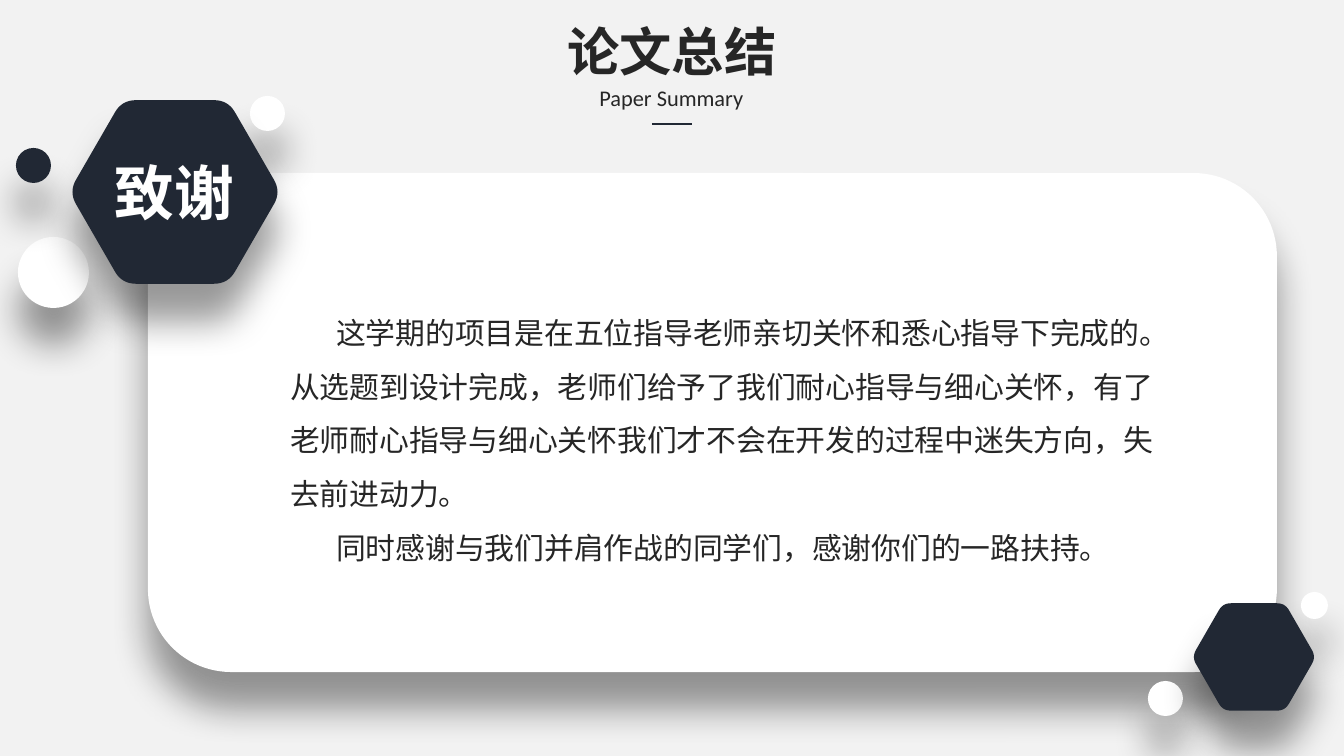
from math import cos, pi, sin

from lxml import etree
from pptx import Presentation
from pptx.dml.color import RGBColor
from pptx.enum.shapes import MSO_CONNECTOR, MSO_SHAPE
from pptx.enum.text import MSO_AUTO_SIZE, PP_ALIGN
from pptx.oxml.ns import qn
from pptx.util import Pt

PX = 6804  # EMU per px
ROUND = MSO_SHAPE.ROUNDED_RECTANGLE
OVAL = MSO_SHAPE.OVAL
LINE = MSO_CONNECTOR.STRAIGHT
GROW = MSO_AUTO_SIZE.SHAPE_TO_FIT_TEXT
LEFT, CENTER = PP_ALIGN.LEFT, PP_ALIGN.CENTER

NAVY, WHITE, GREY, INK = "212834", "FFFFFF", "F2F2F2", "262626"
HAN, LATIN = "Noto Sans CJK SC", "Calibri"

DOTS = [  # left, top, size, fill
    (18, 237, 71, WHITE),
    (16, 148, 35, NAVY),
    (250, 96, 35, WHITE),
    (1148, 681, 35, WHITE),
    (1301, 592, 27, WHITE),
]
THANKS = [
    "这学期的项目是在五位指导老师亲切关怀和悉心指导下完成的。"
    "从选题到设计完成，老师们给予了我们耐心指导与细心关怀，有了"
    "老师耐心指导与细心关怀我们才不会在开发的过程中迷失方向，失去前进动力。",
    "同时感谢与我们并肩作战的同学们，感谢你们的一路扶持。",
]


def px(*nums):
    return [round(n * PX) for n in nums]


def color(code):
    return RGBColor.from_string(code)


def finish(shape, fill):
    """Give a shape its flat fill and the soft shadow below it."""
    shape.fill.solid()
    shape.fill.fore_color.rgb = color(fill)
    shape.line.fill.background()
    shape.shadow.inherit = False
    effects = shape._element.spPr.find(qn("a:effectLst"))
    drop = etree.SubElement(effects, qn("a:outerShdw"), blurRad=str(Pt(20)),
                            dist=str(Pt(20)), dir="5400000", rotWithShape="0")
    black = etree.SubElement(drop, qn("a:srgbClr"), val="000000")
    etree.SubElement(black, qn("a:alpha"), val="40000")


def add_preset(slide, kind, box, fill):
    finish(slide.shapes.add_shape(kind, *px(*box)), fill)


def add_hexagon(slide, mid_x, mid_y, radius, trim, fill):
    """Draw a regular hexagon whose corners are rounded over the trim length."""
    tips = [(mid_x + radius * cos(i * pi / 3), mid_y + radius * sin(i * pi / 3))
            for i in range(6)]
    part, steps = trim / radius, 8
    points = []
    for i, tip in enumerate(tips):
        last, after = tips[i - 1], tips[(i + 1) % 6]
        for step in range(steps + 1):
            t = step / steps
            back, ahead = part * (1 - t) ** 2, part * t ** 2
            points.append(px(*(c + back * (a - c) + ahead * (b - c)
                               for a, c, b in zip(last, tip, after))))
    path = slide.shapes.build_freeform(*points[0])
    path.add_line_segments(points[1:], close=True)
    finish(path.convert_to_shape(), fill)


def add_text(slide, box, lines, size, ink, font=HAN, bold=False,
             align=CENTER, wrap=False, space=None, indent=0):
    frame = slide.shapes.add_textbox(*px(*box)).text_frame
    frame.word_wrap = wrap
    frame.auto_size = GROW
    frame.text = "\n".join(lines)
    for para in frame.paragraphs:
        para.alignment = align
        if space:
            para.line_spacing = space
        if indent:
            para._p.get_or_add_pPr().set("indent", str(indent * PX))
        for run in para.runs:
            face = run.font
            face.size, face.bold, face.name = Pt(size), bold, font
            face.color.rgb = color(ink)
            etree.SubElement(face._element, qn("a:ea"), typeface=font)


def add_rule(slide, x1, y1, x2, y2):
    rule = slide.shapes.add_connector(LINE, *px(x1, y1, x2, y2))
    rule.line.color.rgb = color(NAVY)
    rule.line.width = Pt(1.5)
    etree.SubElement(rule._element.spPr, qn("a:effectLst"))


def main():
    deck = Presentation()
    deck.slide_width, deck.slide_height = px(1344, 756)
    slide = deck.slides.add_slide(deck.slide_layouts[6])
    back = slide.background.fill
    back.solid()
    back.fore_color.rgb = color(GREY)

    add_preset(slide, ROUND, (148, 173, 1129, 499), WHITE)
    for left, top, size, fill in DOTS:
        add_preset(slide, OVAL, (left, top, size, size), fill)
    add_text(slide, (277, 290, 906, 285), THANKS, 16, INK,
             align=LEFT, wrap=True, space=1.5, indent=46)

    add_hexagon(slide, 175, 192, 106, 14, NAVY)
    add_text(slide, (100, 149, 149, 86), ["致谢"], 32, WHITE, bold=True, wrap=True)
    add_hexagon(slide, 1254, 657, 62, 8, NAVY)

    add_text(slide, (553, 13, 238, 77), ["论文总结"], 28, INK, bold=True)
    add_text(slide, (586, 78, 171, 40), ["Paper Summary"], 12, INK, font=LATIN)
    add_rule(slide, 652, 124, 692, 124)
    deck.save("out.pptx")


if __name__ == "__main__":
    main()
